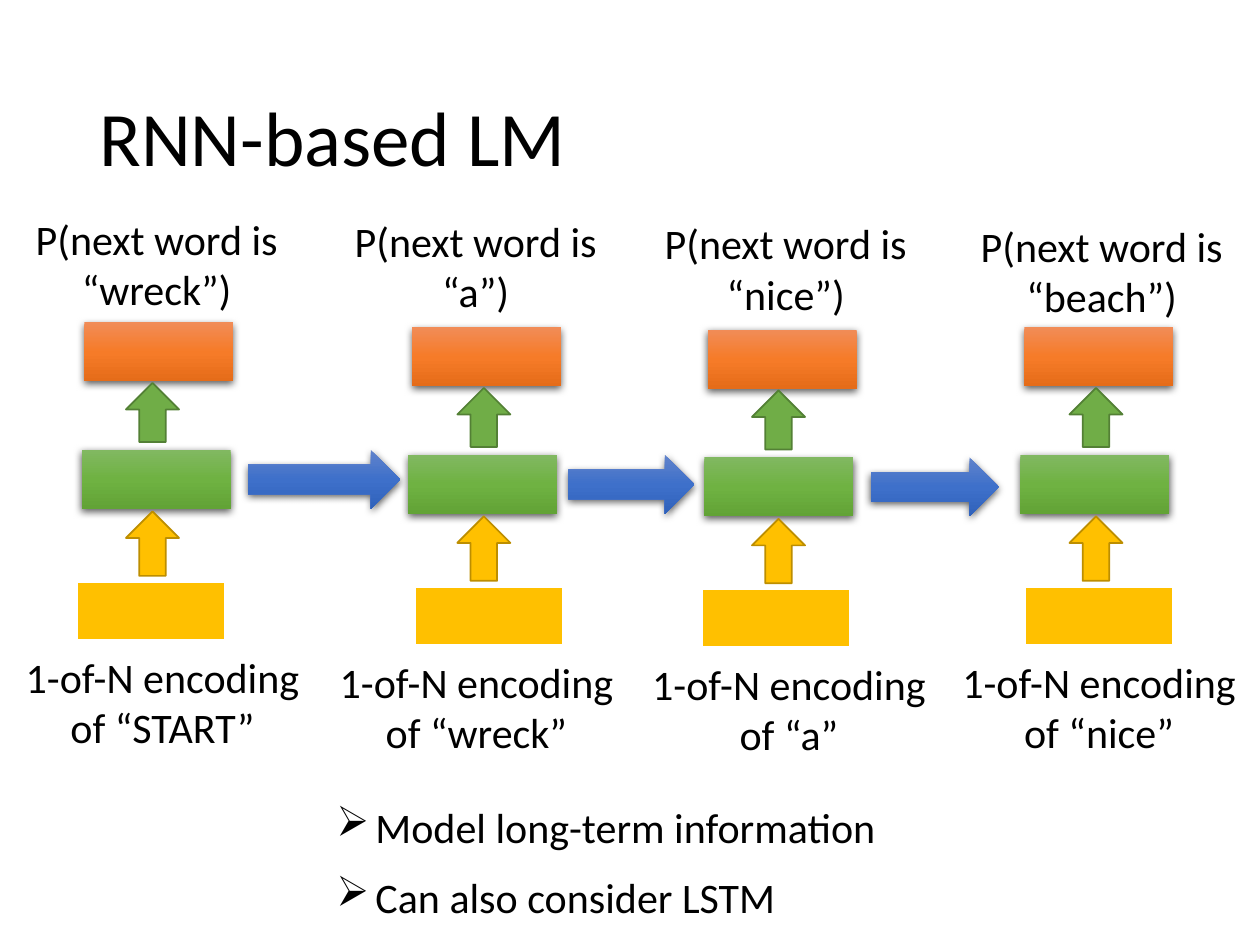
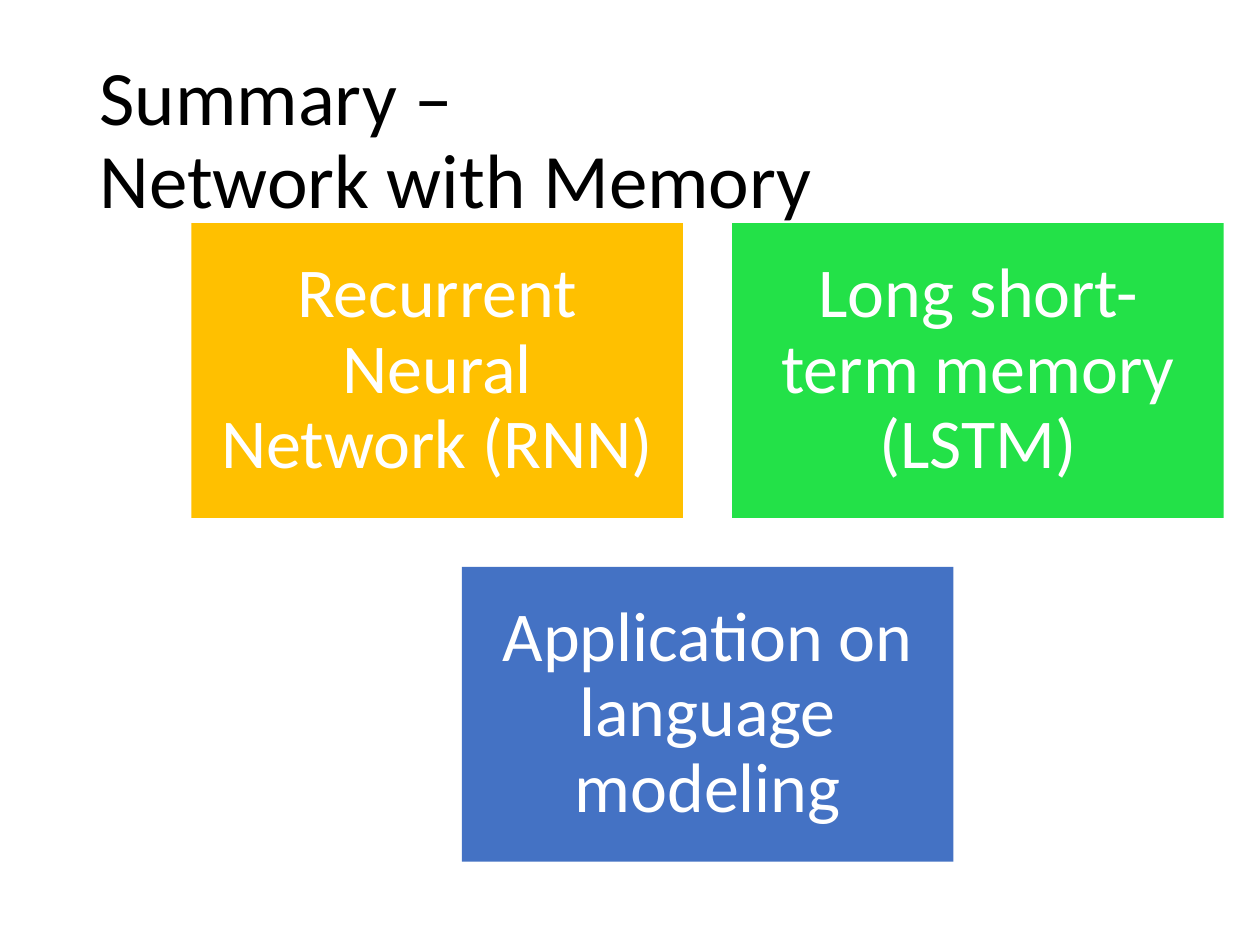
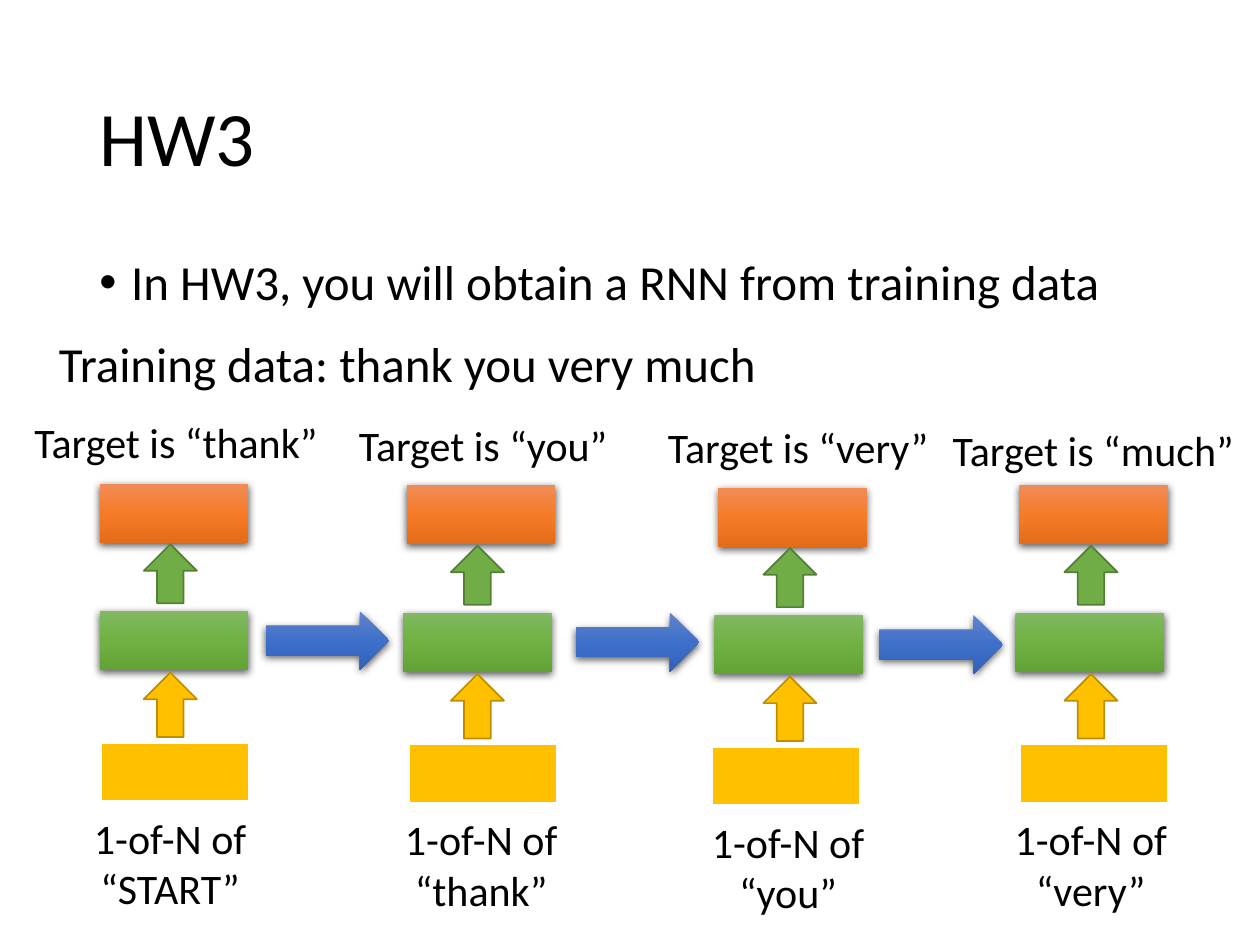
from copy import deepcopy
from typing import NamedTuple

from lxml import etree
from pptx import Presentation
from pptx.dml.color import RGBColor
from pptx.enum.shapes import MSO_SHAPE
from pptx.enum.text import MSO_ANCHOR, MSO_AUTO_SIZE, PP_ALIGN
from pptx.oxml.ns import qn
from pptx.util import Cm, Pt

RECTANGLE = MSO_SHAPE.RECTANGLE
UP_ARROW = MSO_SHAPE.UP_ARROW
RIGHT_ARROW = MSO_SHAPE.RIGHT_ARROW
LEFT = PP_ALIGN.LEFT
CENTER = PP_ALIGN.CENTER
TOP = MSO_ANCHOR.TOP
MIDDLE = MSO_ANCHOR.MIDDLE
GROW = MSO_AUTO_SIZE.SHAPE_TO_FIT_TEXT

FONT = "Calibri"
BLACK = RGBColor(0x00, 0x00, 0x00)
WHITE = RGBColor(0xFF, 0xFF, 0xFF)
GOLD = RGBColor(0xFF, 0xC0, 0x00)
DARK_GOLD = RGBColor(0xBD, 0x8E, 0x00)
GREEN = RGBColor(0x70, 0xAD, 0x47)
DARK_GREEN = RGBColor(0x53, 0x80, 0x35)
BRIGHT_GREEN = RGBColor(0x23, 0xE1, 0x48)
BLUE = RGBColor(0x44, 0x72, 0xC4)
ORANGE_GRADIENT = (RGBColor(0xF1, 0x8C, 0x57), RGBColor(0xF6, 0x7B, 0x28), RGBColor(0xE5, 0x6C, 0x19))
GREEN_GRADIENT = (RGBColor(0x81, 0xB8, 0x61), RGBColor(0x6F, 0xB2, 0x42), RGBColor(0x62, 0xA3, 0x36))
BLUE_GRADIENT = (RGBColor(0x61, 0x83, 0xCB), RGBColor(0x3E, 0x70, 0xCA), RGBColor(0x30, 0x62, 0xBB))

TITLE_ONLY = 5
TITLE_AND_BODY = 1
LAYER_WIDTH, LAYER_HEIGHT = 3.0, 1.19
UP_WIDTH, UP_HEIGHT, UP_LONG = 1.07, 1.19, 1.3
TO_OUTPUT, HIDDEN, TO_HIDDEN, INPUT, ENCODING = 1.22, 2.57, 3.81, 5.22, 6.5
LABEL_WIDTH, LABEL_RISE = 6.38, 0.05


class Step(NamedTuple):
    top: float
    output_left: float
    hidden_left: float
    input_left: float
    arrow_left: float
    label: str
    label_left: float
    encoding: str
    encoding_left: float
    encoding_width: float


LM_STEPS = (
    Step(6.5, 1.7, 1.65, 1.55, 2.54, "P(next word is “wreck”)", -0.03,
         "1-of-N encoding of “START”", 0.2, 6.15),
    Step(6.6, 8.31, 8.23, 8.36, 9.22, "P(next word is “a”)", 6.4,
         "1-of-N encoding of “wreck”", 6.53, 6.15),
    Step(6.65, 14.27, 14.2, 14.15, 15.16, "P(next word is “nice”)", 12.65,
         "1-of-N encoding of “a”", 12.83, 6.15),
    Step(6.6, 20.65, 20.57, 20.65, 21.56, "P(next word is “beach”)", 19.02,
         "1-of-N encoding of “nice”", 19.08, 6.15),
)
LM_LINKS = ((5.0, 3.07), (11.46, 2.54), (17.55, 2.59))

HOMEWORK_STEPS = (
    Step(9.75, 2.01, 2.01, 2.03, 2.9, "Target is “thank”", 0.36,
         "1-of-N of “START”", 1.55, 3.76),
    Step(9.78, 8.2, 8.13, 8.23, 9.09, "Target is “you”", 6.55,
         "1-of-N of “thank”", 7.67, 4.06),
    Step(9.83, 14.48, 14.4, 14.35, 15.39, "Target is “very”", 12.9,
         "1-of-N of “you”", 13.74, 4.29),
    Step(9.78, 20.55, 20.47, 20.55, 21.46, "Target is “much”", 18.85,
         "1-of-N of “very”", 19.74, 4.5),
)
HOMEWORK_LINKS = ((5.36, 2.49), (11.61, 2.49), (17.73, 2.49))


def write_text(shape, text, size=24, color=BLACK, align=LEFT, anchor=TOP,
               line_spacing=None, space_before=None, bullet=None, indent=0):
    frame = shape.text_frame
    frame.word_wrap = True
    frame.vertical_anchor = anchor
    paragraph = frame.paragraphs[0]
    paragraph.text = text
    paragraph.alignment = align
    paragraph.line_spacing = line_spacing
    paragraph.space_before = space_before
    for run in paragraph.runs:
        run.font.name = FONT
        run.font.size = Pt(size)
        run.font.color.rgb = color
    if bullet:
        properties = paragraph._p.get_or_add_pPr()
        properties.set("marL", str(Cm(indent)))
        properties.set("indent", str(-Cm(indent)))
        etree.SubElement(properties, qn("a:buChar"), char=bullet)


def place(shape, left, top, width, height):
    shape.left, shape.top = Cm(left), Cm(top)
    shape.width, shape.height = Cm(width), Cm(height)


def add_text(slide, text, left, top, width, height, **text_format):
    box = slide.shapes.add_textbox(Cm(left), Cm(top), Cm(width), Cm(height))
    write_text(box, text, **text_format)
    box.text_frame.auto_size = GROW


def add_titled_slide(presentation, title, layout=TITLE_ONLY):
    slide = presentation.slides.add_slide(presentation.slide_layouts[layout])
    place(slide.shapes.title, 1.75, 1.02, 21.9, 3.68)
    write_text(slide.shapes.title, title, size=44, anchor=MIDDLE, line_spacing=0.9)
    return slide


def add_flat_shape(slide, kind, left, top, width, height, color, line_color=None, line_width=1):
    shape = slide.shapes.add_shape(kind, Cm(left), Cm(top), Cm(width), Cm(height))
    shape.shadow.inherit = False
    shape.fill.solid()
    shape.fill.fore_color.rgb = color
    if line_color is None:
        shape.line.fill.background()
    else:
        shape.line.color.rgb = line_color
        shape.line.width = Pt(line_width)
    return shape


def add_raised_shape(slide, kind, left, top, width, height, colors):
    shape = add_flat_shape(slide, kind, left, top, width, height, colors[1])
    shape.fill.gradient()
    shape.fill.gradient_angle = 270
    properties = shape._element.spPr
    stop_list = properties.find(".//" + qn("a:gsLst"))
    stop_list.insert(1, deepcopy(stop_list[0]))
    for stop, color, position in zip(shape.fill.gradient_stops, colors, (0, 0.5, 1)):
        stop.color.rgb = color
        stop.position = position
    shadow = etree.SubElement(properties.find(qn("a:effectLst")), qn("a:outerShdw"),
                              blurRad=str(Pt(4.5)), dist=str(Pt(1.5)),
                              dir="5400000", rotWithShape="0")
    shadow_color = etree.SubElement(shadow, qn("a:srgbClr"), val=str(BLACK))
    etree.SubElement(shadow_color, qn("a:alpha"), val="63000")


def add_step(slide, step):
    add_flat_shape(slide, RECTANGLE, step.input_left, step.top + INPUT,
                   LAYER_WIDTH, LAYER_HEIGHT, GOLD, WHITE, 1.5)
    for left, top, colors in ((step.hidden_left, step.top + HIDDEN, GREEN_GRADIENT),
                              (step.output_left, step.top, ORANGE_GRADIENT)):
        add_raised_shape(slide, RECTANGLE, left, top, LAYER_WIDTH, LAYER_HEIGHT, colors)
    add_flat_shape(slide, UP_ARROW, step.arrow_left, step.top + TO_HIDDEN,
                   UP_WIDTH, UP_LONG, GOLD, DARK_GOLD)
    add_flat_shape(slide, UP_ARROW, step.arrow_left, step.top + TO_OUTPUT,
                   UP_WIDTH, UP_HEIGHT, GREEN, DARK_GREEN)


def add_network(slide, steps, links, label_top, label_height):
    for step in steps:
        add_step(slide, step)
    for step, (left, width) in zip(steps, links):
        add_raised_shape(slide, RIGHT_ARROW, left, step.top + HIDDEN,
                         width, LAYER_HEIGHT, BLUE_GRADIENT)
    for index, step in enumerate(steps):
        add_text(slide, step.label, step.label_left, label_top + index * LABEL_RISE,
                 LABEL_WIDTH, label_height, align=CENTER)
        add_text(slide, step.encoding, step.encoding_left, step.top + ENCODING,
                 step.encoding_width, 2.31, align=CENTER)


def add_topic(slide, text, column, row, color):
    topic = add_flat_shape(slide, RECTANGLE, 3.86 + column * 10.9, 4.5 + row * 6.93,
                           9.91, 5.94, color)
    frame = topic.text_frame
    frame.margin_left = frame.margin_right = frame.margin_top = frame.margin_bottom = Cm(0.43)
    write_text(topic, text, size=40, color=WHITE, align=CENTER, anchor=MIDDLE, line_spacing=0.9)


def build_language_model(presentation):
    slide = add_titled_slide(presentation, "RNN-based LM")
    add_network(slide, LM_STEPS, LM_LINKS, label_top=4.17, label_height=2.31)
    for index, remark in enumerate(("Model long-term information", "Can also consider LSTM")):
        add_text(slide, remark, 6.53, 16.03 + index * 1.42, 12.88, 1.27, bullet="➢", indent=0.79)


def build_summary(presentation):
    slide = add_titled_slide(presentation, "Summary – \nNetwork with Memory")
    add_topic(slide, "Recurrent Neural Network (RNN)", 0, 0, GOLD)
    add_topic(slide, "Long short-term memory (LSTM)", 1, 0, BRIGHT_GREEN)
    add_topic(slide, "Application on language modeling", 0.5, 1, BLUE)


def build_homework(presentation):
    slide = add_titled_slide(presentation, "HW3", TITLE_AND_BODY)
    body = slide.placeholders[1]
    place(body, 1.75, 5.08, 21.9, 12.09)
    write_text(body, "In HW3, you will obtain a RNN from training data", size=28,
               line_spacing=0.9, space_before=Pt(10), bullet="•", indent=0.64)
    add_text(slide, "Training data: thank you very much", 0.94, 6.6, 16.08, 1.45, size=28)
    add_network(slide, HOMEWORK_STEPS, HOMEWORK_LINKS, label_top=8.28, label_height=1.27)


def main():
    presentation = Presentation()
    presentation.slide_width = Cm(25.4)
    presentation.slide_height = Cm(19.05)
    build_language_model(presentation)
    build_summary(presentation)
    build_homework(presentation)
    presentation.save("out.pptx")


if __name__ == "__main__":
    main()
